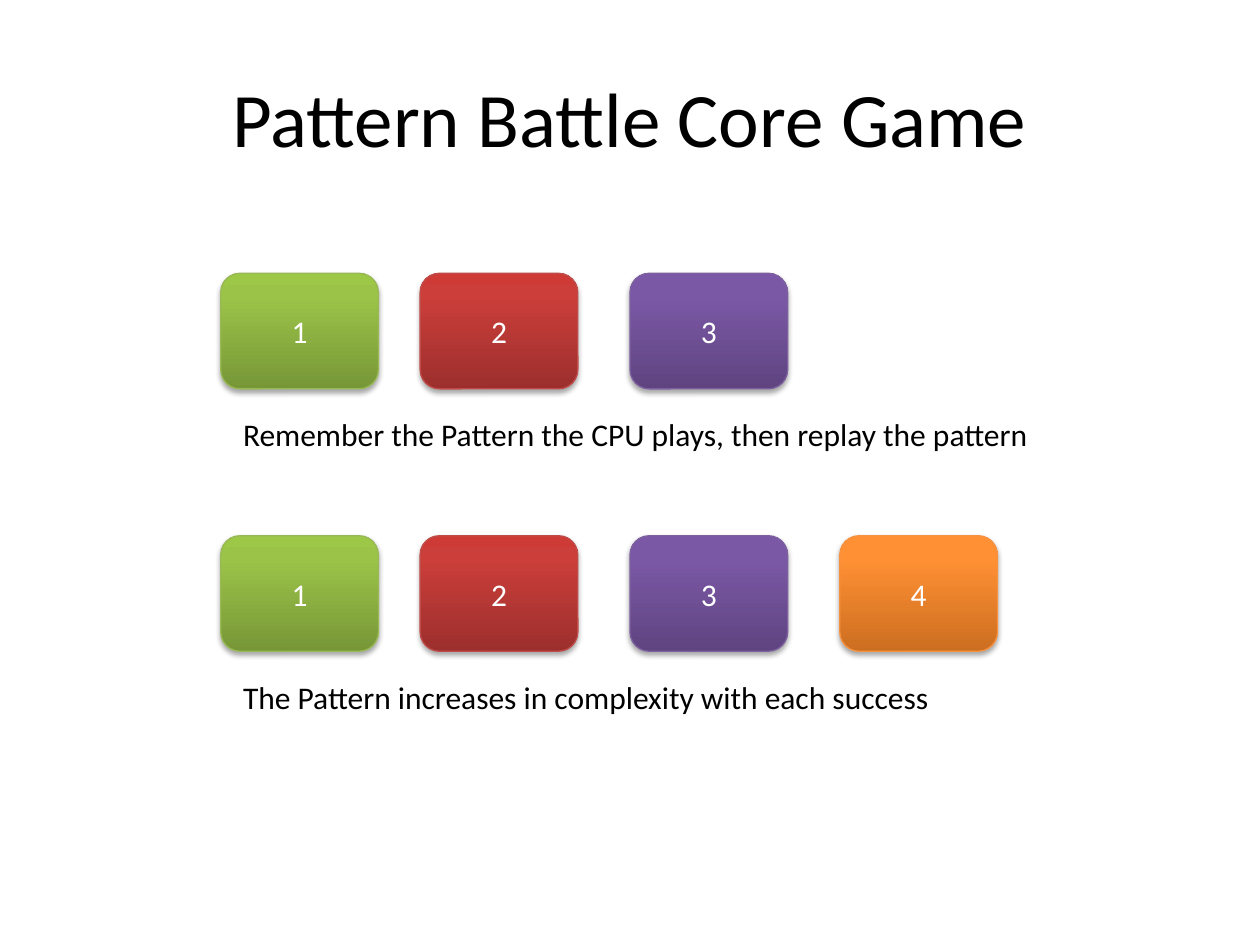
import copy

import lxml.etree
import pptx
import pptx.dml.color
import pptx.enum.shapes
import pptx.enum.text
import pptx.oxml.ns
import pptx.util

Cm, Pt, qn = pptx.util.Cm, pptx.util.Pt, pptx.oxml.ns.qn
ALIGN = pptx.enum.text.PP_ALIGN
ANCHOR = pptx.enum.text.MSO_ANCHOR


def rgb(value):
    return pptx.dml.color.RGBColor.from_string(value)


def write(sp, text, size, color, align, anchor):
    tf = sp.text_frame
    tf.word_wrap = True
    tf.vertical_anchor = anchor
    p = tf.paragraphs[0]
    p.alignment = align
    r = p.add_run()
    r.text = text
    r.font.name = "Calibri"
    r.font.size = Pt(size)
    r.font.color.rgb = rgb(color)


prs = pptx.Presentation()
prs.slide_width, prs.slide_height = Cm(25.4), Cm(19.05)
s = prs.slides.add_slide(prs.slide_layouts[6])

title = s.shapes.add_textbox(Cm(1.27), Cm(0.76), Cm(22.86), Cm(3.18))
write(title, "Pattern Battle Core Game", 44, "000000", ALIGN.CENTER, ANCHOR.MIDDLE)

# Left edge, line colour, gradient from bottom to top
buttons = [
    (4.45, "98B955", ("779737", "9BC348", "9DC746")),
    (8.47, "BF4C48", ("9C2F2D", "CB3E3A", "CE3B37")),
    (12.7, "7D60A0", ("5F4480", "7B58A6", "7C57A8")),
    (16.93, "F69240", ("CC6E20", "FF9034", "FF9136")),
]
# Top edge, number of buttons, caption, caption width
rounds = [
    (5.51, 3, "Remember the Pattern the CPU plays, then replay the pattern", 17.35),
    (10.8, 4, "The Pattern increases in complexity with each success", 16.08),
]

for top, count, caption, caption_width in rounds:
    for number, (left, line, gradient) in enumerate(buttons[:count], 1):
        sp = s.shapes.add_shape(pptx.enum.shapes.MSO_SHAPE.ROUNDED_RECTANGLE,
                                Cm(left), Cm(top), Cm(3.18), Cm(2.33))
        sp.line.color.rgb = rgb(line)
        sp.line.width = Pt(0.75)

        sp.fill.gradient()
        sp.fill.gradient_angle = 90
        spPr = sp._element.spPr
        stop_list = spPr.find(".//" + qn("a:gsLst"))
        stop_list.append(copy.deepcopy(stop_list[0]))
        for stop, position, color in zip(sp.fill.gradient_stops, (0, 0.8, 1), gradient):
            stop.position = position
            stop.color.rgb = rgb(color)

        sp.shadow.inherit = False
        shadow = lxml.etree.SubElement(
            spPr.find(qn("a:effectLst")), qn("a:outerShdw"), blurRad=str(Pt(3.1)),
            dist=str(Pt(1.8)), dir="5400000", rotWithShape="0")
        black = lxml.etree.SubElement(shadow, qn("a:srgbClr"), val="000000")
        lxml.etree.SubElement(black, qn("a:alpha"), val="35000")

        write(sp, str(number), 18, "FFFFFF", ALIGN.CENTER, ANCHOR.MIDDLE)

    tb = s.shapes.add_textbox(Cm(4.65), Cm(top + 2.74), Cm(caption_width), Cm(1.02))
    write(tb, caption, 18, "000000", ALIGN.LEFT, ANCHOR.TOP)
    tb.text_frame.auto_size = pptx.enum.text.MSO_AUTO_SIZE.SHAPE_TO_FIT_TEXT

prs.save("out.pptx")
